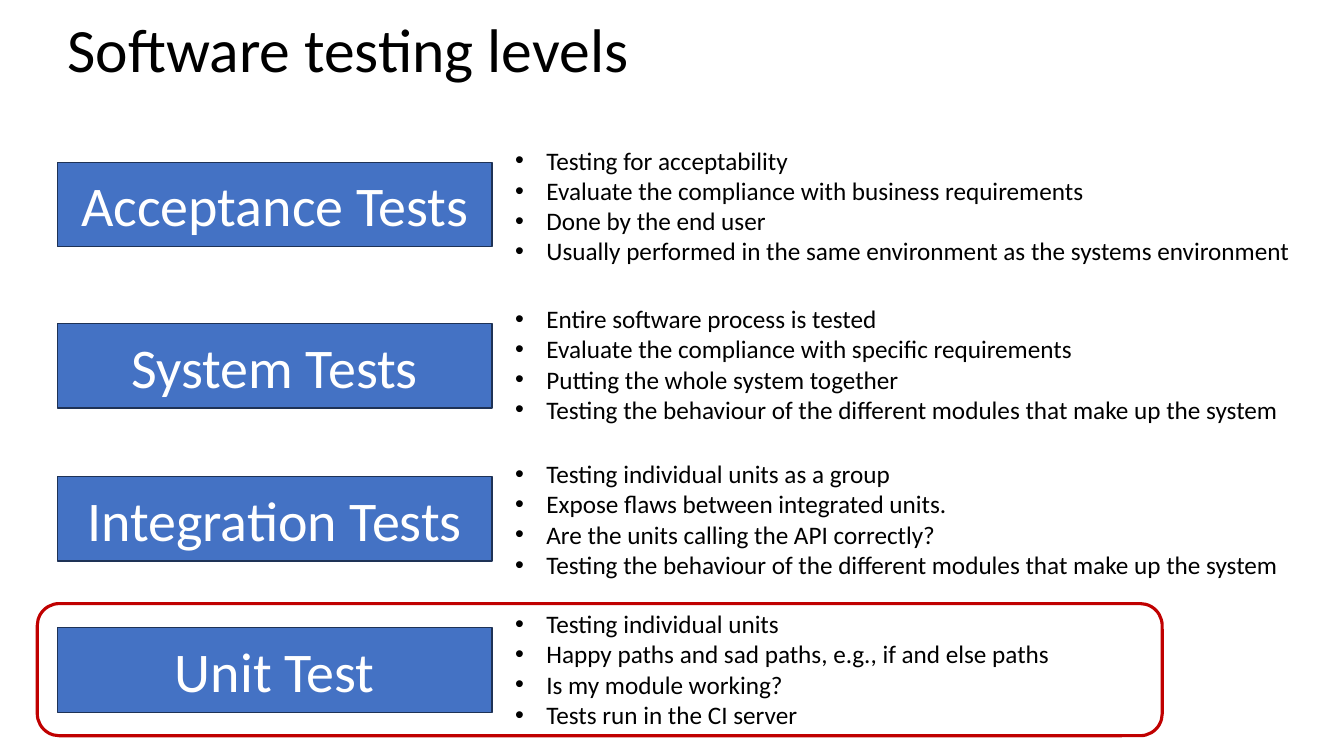
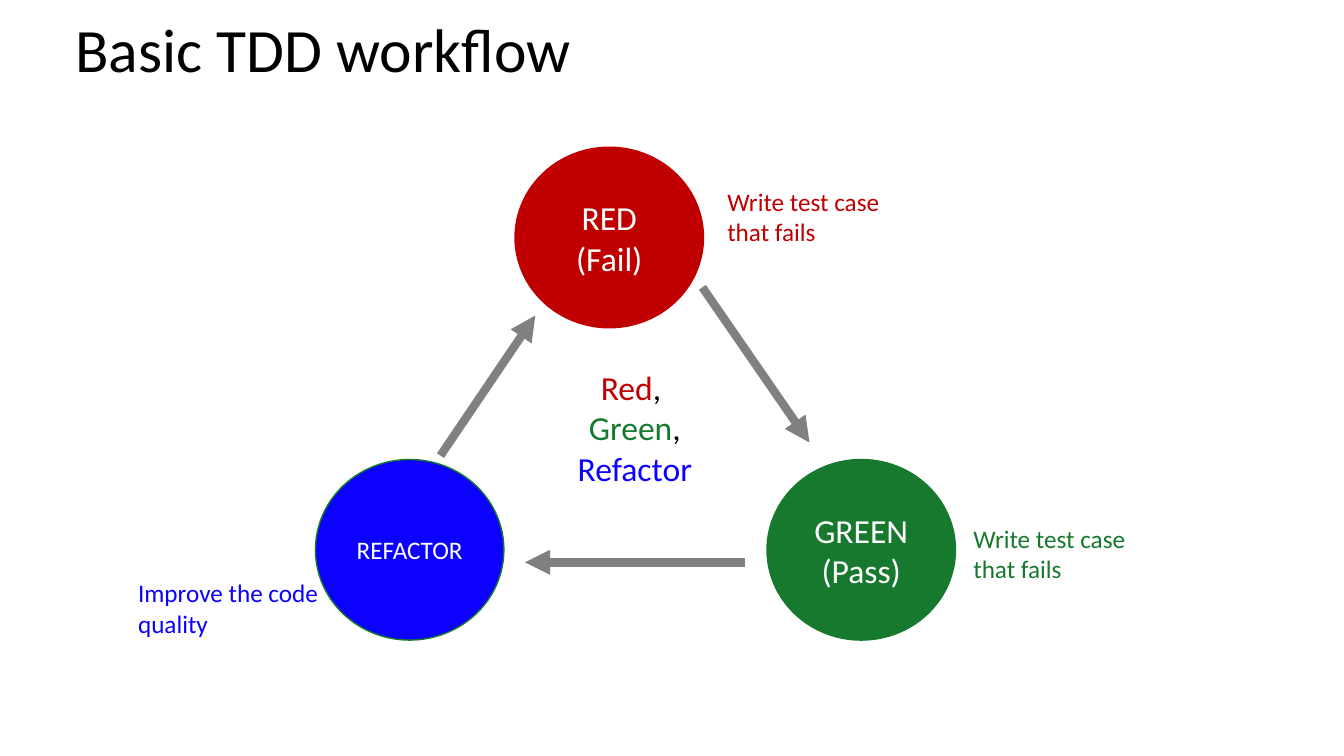
import pptx
import pptx.dml.color
import pptx.enum.shapes
import pptx.enum.text
import pptx.oxml
import pptx.oxml.ns
import pptx.util
from pptx.util import Cm

FONT = "Calibri"
BLACK, WHITE, GREY = "000000", "FFFFFF", "808080"
RED, GREEN, BLUE = "C00000", "17792D", "0C00FF"
BOX_FILL, BOX_LINE = "4472C4", "1E3256"
SHAPES = pptx.enum.shapes.MSO_SHAPE
ALIGN = pptx.enum.text.PP_ALIGN
ANCHOR = pptx.enum.text.MSO_ANCHOR
AUTO_SIZE = pptx.enum.text.MSO_AUTO_SIZE
NAMESPACE = pptx.oxml.ns.nsdecls("a")


def rgb(value):
    """Turn a hex string into a colour."""
    return pptx.dml.color.RGBColor.from_string(value)


def write_text(shape, lines, size=18, color=BLACK, align=ALIGN.LEFT,
               anchor=ANCHOR.TOP, spacing=1.0, bullets=False, fit=AUTO_SIZE.NONE):
    """Write one paragraph per line; a line is a string or a list of (text, colour)."""
    frame = shape.text_frame
    frame.word_wrap = True
    frame.auto_size = fit
    frame.vertical_anchor = anchor
    for index, line in enumerate(lines):
        paragraph = frame.add_paragraph() if index else frame.paragraphs[0]
        paragraph.alignment = align
        paragraph.line_spacing = spacing
        for text, run_color in [(line, color)] if isinstance(line, str) else line:
            run = paragraph.add_run()
            run.text = text
            run.font.name = FONT
            run.font.size = pptx.util.Pt(size)
            run.font.color.rgb = rgb(run_color)
        if bullets:
            properties = paragraph._p.get_or_add_pPr()
            properties.set("marL", str(Cm(0.79)))
            properties.set("indent", str(-Cm(0.79)))
            for tag in ('buFont typeface="Arial"', 'buChar char="•"'):
                properties.append(pptx.oxml.parse_xml(f"<a:{tag} {NAMESPACE}/>"))


presentation = pptx.Presentation()
presentation.slide_width = Cm(33.87)
presentation.slide_height = Cm(19.05)

# Slides and titles
slides = []
for title, left in (("Software testing levels", 1.45), ("Basic TDD workflow", 1.65)):
    slide = presentation.slides.add_slide(presentation.slide_layouts[5])
    placeholder = slide.shapes.title
    placeholder.left, placeholder.top = Cm(left), Cm(0)
    placeholder.width, placeholder.height = Cm(29.21), Cm(2.63)
    write_text(placeholder, [title], size=44, anchor=ANCHOR.MIDDLE, spacing=0.9)
    slides.append(slide)
levels_slide, workflow_slide = slides

# Testing levels: name, box top, list top, list width, points
levels = [
    ("Acceptance Tests", 4.09, 3.53, 20.07, [
        "Testing for acceptability",
        "Evaluate the compliance with business requirements",
        "Done by the end user",
        "Usually performed in the same environment as the systems environment"]),
    ("System Tests", 8.15, 7.52, 20.07, [
        "Entire software process is tested",
        "Evaluate the compliance with specific requirements",
        "Putting the whole system together",
        "Testing the behaviour of the different modules that make up the system"]),
    ("Integration Tests", 12.01, 11.43, 20.07, [
        "Testing individual units as a group",
        "Expose flaws between integrated units.",
        "Are the units calling the API correctly?",
        "Testing the behaviour of the different modules that make up the system"]),
    ("Unit Test", 15.82, 15.21, 18.62, [
        "Testing individual units",
        "Happy paths and sad paths, e.g., if and else paths",
        "Is my module working?",
        "Tests run in the CI server"]),
]

# Workflow steps: lines, text size, fill, outline, circle corner, note, note corner
steps = [
    (["RED", "(Fail)"], 24, RED, RED, (12.98, 3.71),
     "Write test case that fails", (18.08, 4.57)),
    (["GREEN", "(Pass)"], 24, GREEN, GREEN, (19.33, 11.58),
     "Write test case that fails", (24.28, 13.06)),
    (["REFACTOR"], 18, BLUE, GREEN, (7.95, 11.58),
     "Improve the code quality", (3.23, 14.43)),
]

# Outlined shapes: slide, kind, position, fill, outline, outline width, lines, text size
outlined = [(levels_slide, SHAPES.RECTANGLE, (1.45, box_top, 10.95, 2.13),
             BOX_FILL, BOX_LINE, 1, [name], 40)
            for name, box_top, *_ in levels]
outlined.append((levels_slide, SHAPES.ROUNDED_RECTANGLE, (0.94, 15.21, 28.35, 3.33),
                 None, RED, 2.25, [], 18))
outlined += [(workflow_slide, SHAPES.OVAL, (*corner, 4.75, 4.55),
              fill, outline, 1, lines, size)
             for lines, size, fill, outline, corner, *_ in steps]
for slide, kind, position, fill, outline, width, lines, size in outlined:
    shape = slide.shapes.add_shape(kind, *map(Cm, position))
    shape.shadow.inherit = False
    if fill:
        shape.fill.solid()
        shape.fill.fore_color.rgb = rgb(fill)
    else:
        shape.fill.background()
    shape.line.color.rgb = rgb(outline)
    shape.line.width = pptx.util.Pt(width)
    write_text(shape, lines, size=size, color=WHITE, align=ALIGN.CENTER,
               anchor=ANCHOR.MIDDLE)

# Text boxes: slide, position, lines, format
texts = [(levels_slide, (12.73, list_top, width, 3.33), points, {"bullets": True})
         for _, _, list_top, width, points in levels]
texts += [(workflow_slide, (*corner, 5.16, 1.8), [note], {"color": fill})
          for _, _, fill, _, _, note, corner in steps]
motto = [[("Red", RED), (", ", BLACK)], [("Green", GREEN), (",", BLACK)],
         [("Refactor", BLUE)]]
texts.append((workflow_slide, (14.02, 9.12, 3.96, 3.33), motto,
              {"size": 24, "align": ALIGN.CENTER}))
for slide, position, lines, text_format in texts:
    text_box = slide.shapes.add_textbox(*map(Cm, position))
    write_text(text_box, lines, fit=AUTO_SIZE.SHAPE_TO_FIT_TEXT, **text_format)

# Arrows between the steps
for ends in ((17.7, 7.24, 20.4, 11.15), (18.77, 14.17, 13.23, 14.17),
             (11.1, 11.48, 13.49, 7.95)):
    arrow = workflow_slide.shapes.add_connector(
        pptx.enum.shapes.MSO_CONNECTOR.STRAIGHT, *map(Cm, ends))
    arrow.line.color.rgb = rgb(GREY)
    arrow.line.width = pptx.util.Pt(6)
    properties = arrow._element.spPr
    properties.find(pptx.oxml.ns.qn("a:ln")).append(
        pptx.oxml.parse_xml(f'<a:tailEnd type="triangle" {NAMESPACE}/>'))
    properties.append(pptx.oxml.parse_xml(f"<a:effectLst {NAMESPACE}/>"))

presentation.save("out.pptx")
